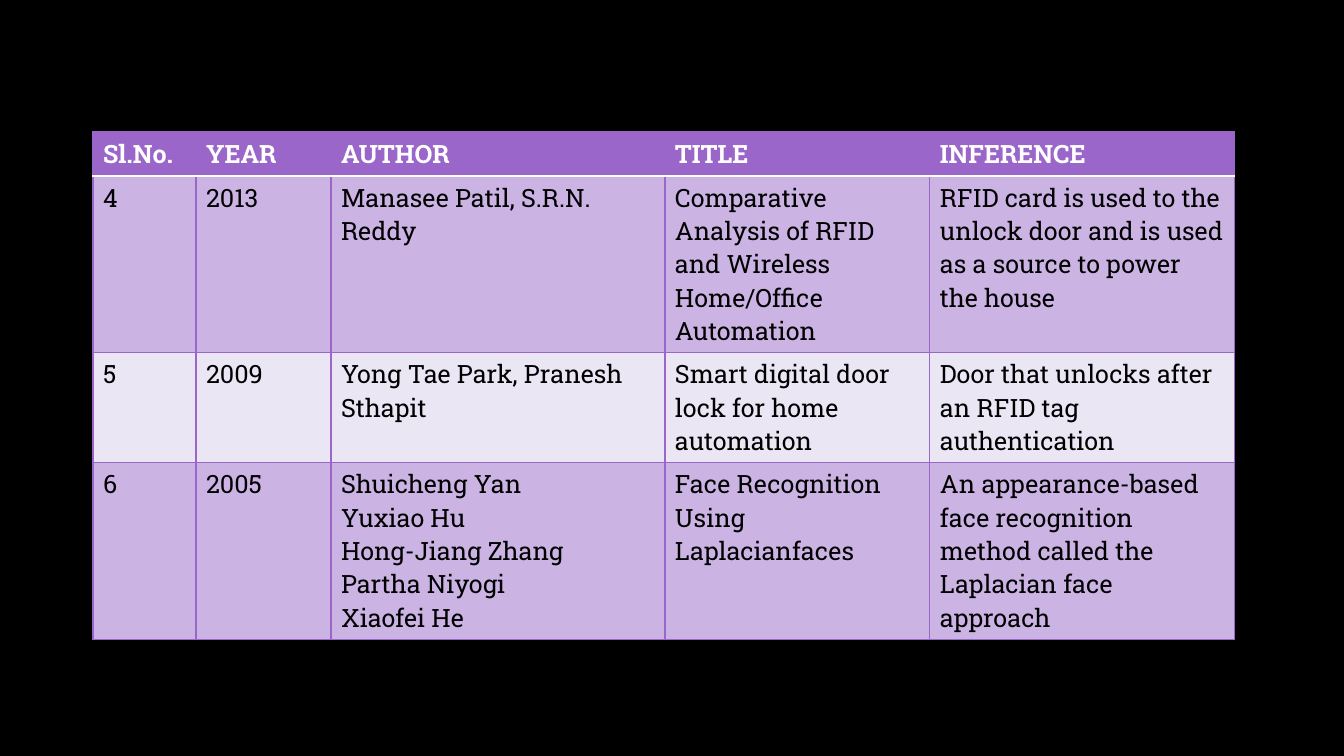
from dataclasses import dataclass

from lxml.etree import SubElement
from pptx import Presentation
from pptx.dml.color import RGBColor
from pptx.oxml.ns import qn
from pptx.table import Table, _Cell
from pptx.util import Emu, Pt

COLORS = {
    "background": "000000",
    "purple": "9A66CA",
    "dark_band": "CBB3E3",
    "light_band": "EBE6F4",
    "white": "FFFFFF",
    "black": "000000",
}
SLIDE_W, SLIDE_H = 1344, 756
TABLE_LEFT, TABLE_TOP = 93, 132
COL_WIDTHS = (103, 135, 334, 265, 305)
FONT = {"name": "Roboto Slab", "size": Pt(18)}


@dataclass(frozen=True)
class Row:
    height: int
    fill: str
    texts: tuple[str, ...]
    color: str = "black"
    bold: bool = False
    top: str = "purple"
    bottom: str = "purple"


ROWS = (
    Row(44, "purple", ("Sl.No.", "YEAR", "AUTHOR", "TITLE", "INFERENCE"),
        color="white", bold=True, bottom="white"),
    Row(176, "dark_band", (
        "4", "2013", "Manasee Patil, S.R.N. Reddy",
        "Comparative Analysis of RFID and Wireless Home/Office Automation",
        "RFID card is used to the unlock door and is used as a source to power the house",
    ), top="white"),
    Row(110, "light_band", (
        "5", "2009", "Yong Tae Park, Pranesh Sthapit",
        "Smart digital door lock for home automation",
        "Door that unlocks after an RFID tag authentication",
    )),
    Row(177, "dark_band", (
        "6", "2005",
        "Shuicheng Yan\nYuxiao Hu\nHong-Jiang Zhang\nPartha Niyogi\nXiaofei He",
        "Face Recognition Using Laplacianfaces",
        "An appearance-based face recognition method called the Laplacian face approach",
    )),
)


def px(n: int) -> Emu:
    return Emu(round(n * 914400 / 100.8))


def rgb(name: str) -> RGBColor:
    return RGBColor.from_string(COLORS[name])


def add_border(cell: _Cell, tag: str, color: str) -> None:
    width = Pt(1.5) if color == "white" else Pt(1)
    ln = SubElement(cell._tc.get_or_add_tcPr(), qn(tag), w=str(int(width)))
    fill = SubElement(ln, qn("a:solidFill"))
    SubElement(fill, qn("a:srgbClr"), val=COLORS[color])


def write_text(cell: _Cell, text: str, row: Row) -> None:
    p = cell.text_frame.paragraphs[0]
    for i, line in enumerate(text.split("\n")):
        if i:
            p.add_line_break()
        r = p.add_run()
        r.text = line
        for name, value in {**FONT, "bold": row.bold}.items():
            setattr(r.font, name, value)
        r.font.color.rgb = rgb(row.color)


def fill_row(table: Table, index: int, row: Row) -> None:
    table.rows[index].height = px(row.height)
    borders = {"a:lnL": "purple", "a:lnR": "purple",
               "a:lnT": row.top, "a:lnB": row.bottom}
    for col, text in enumerate(row.texts):
        cell = table.cell(index, col)
        for tag, color in borders.items():
            add_border(cell, tag, color)
        cell.fill.solid()
        cell.fill.fore_color.rgb = rgb(row.fill)
        write_text(cell, text, row)


def main() -> None:
    prs = Presentation()
    prs.slide_width, prs.slide_height = px(SLIDE_W), px(SLIDE_H)
    s = prs.slides.add_slide(prs.slide_layouts[6])
    s.background.fill.solid()
    s.background.fill.fore_color.rgb = rgb("background")

    height = sum(row.height for row in ROWS)
    table = s.shapes.add_table(
        len(ROWS), len(COL_WIDTHS), px(TABLE_LEFT), px(TABLE_TOP),
        px(sum(COL_WIDTHS)), px(height)).table
    for column, width in zip(table.columns, COL_WIDTHS):
        column.width = px(width)
    for index, row in enumerate(ROWS):
        fill_row(table, index, row)
    prs.save("out.pptx")


if __name__ == "__main__":
    main()
